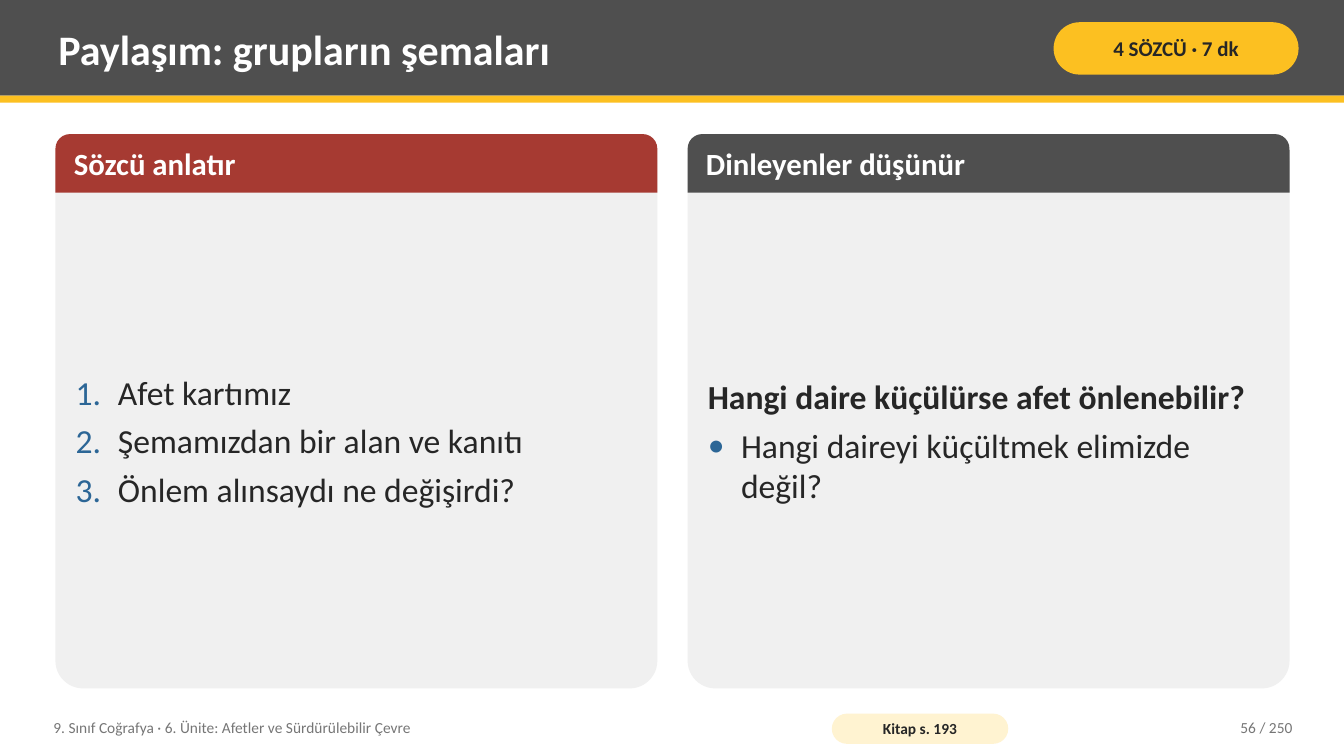
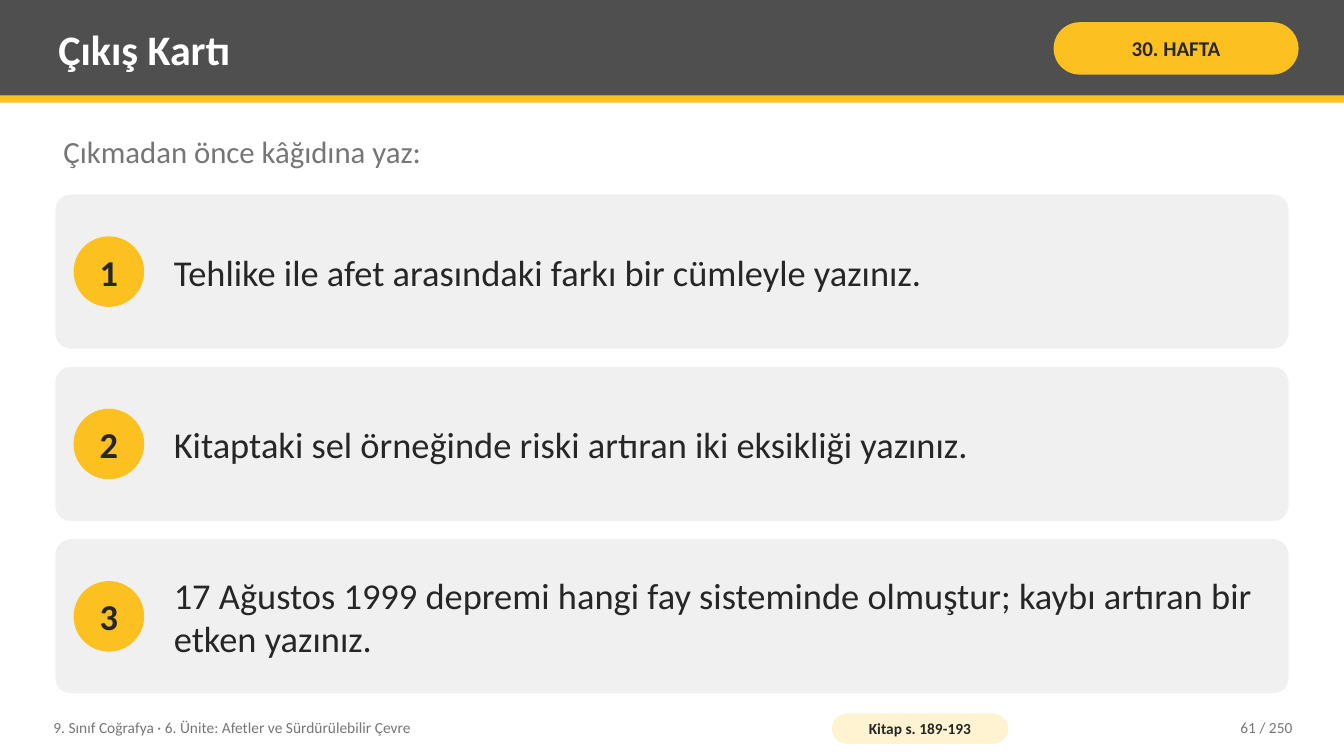
from pptx import Presentation
from pptx.dml.color import RGBColor
from pptx.enum.shapes import MSO_SHAPE
from pptx.enum.text import MSO_ANCHOR, MSO_AUTO_SIZE, PP_ALIGN
from pptx.oxml.ns import qn
from pptx.util import Inches, Pt
from lxml.etree import SubElement

FONT = "Calibri"
WHITE, INK, MUTED = "FFFFFF", "262626", "767676"
GRAPHITE, YELLOW, RED, BLUE = "4F4F4F", "FCC021", "A63A32", "2C6696"
PANEL, CREAM = "F0F0F0", "FFF3D1"

PAGE_WIDTH, MARGIN, CONTENT_WIDTH = 13.33, 0.55, 12.23
UNIT_NAME = "9. Sınıf Coğrafya · 6. Ünite: Afetler ve Sürdürülebilir Çevre"
PAGE_TOTAL = 250
INSETS = (0.08, 0.04, 0.08, 0.04)
NUMBERED = ("a:buAutoNum", {"type": "arabicPeriod"}, 0.42)
BULLETED = ("a:buChar", {"char": "•"}, 0.33)


def color(value):
    return RGBColor.from_string(value)


class Lesson:
    def __init__(self):
        self.deck = Presentation()
        self.deck.slide_width = Inches(PAGE_WIDTH)
        self.deck.slide_height = Inches(7.5)
        self.page = None

    def start_page(self, title, badge, book_pages, number):
        """Add a slide with its title band, badge and footer."""
        self.page = self.deck.slides.add_slide(self.deck.slide_layouts[5])
        self.shape(MSO_SHAPE.RECTANGLE, 0, 0, PAGE_WIDTH, 0.95, GRAPHITE)
        self.shape(MSO_SHAPE.RECTANGLE, 0, 0.95, PAGE_WIDTH, 0.07, YELLOW)
        self.title(title)
        self.pill(badge, 10.45, 0.22, 2.43, 0.52, YELLOW, 15)
        self.text(UNIT_NAME, 0.45, 7.04, 7.6, 0.36, 11, MUTED)
        self.pill(f"Kitap s. {book_pages}", 8.25, 7.08, 1.75, 0.3, CREAM, 11)
        self.text(f"{number} / {PAGE_TOTAL}", 11.3, 7.04, 1.6, 0.36, 11, MUTED,
                  align=PP_ALIGN.RIGHT)

    def set_text(self, box, lines, size, ink, bold=False, align=PP_ALIGN.LEFT,
                 anchor=MSO_ANCHOR.MIDDLE, insets=INSETS):
        """Fill a shape with paragraphs of one style and return them."""
        frame = box.text_frame
        frame.word_wrap = True
        frame.auto_size = MSO_AUTO_SIZE.NONE
        frame.vertical_anchor = anchor
        (frame.margin_left, frame.margin_top,
         frame.margin_right, frame.margin_bottom) = map(Inches, insets)
        frame.text = "\n".join(lines)
        for paragraph in frame.paragraphs:
            paragraph.alignment = align
            font = paragraph.font
            font.name, font.size, font.bold = FONT, Pt(size), bold
            font.color.rgb = color(ink)
        return frame.paragraphs

    def title(self, text):
        box = self.page.shapes.title
        box.left, box.top = Inches(0.5), Inches(0.07)
        box.width, box.height = Inches(9.75), Inches(0.82)
        self.set_text(box, [text], 30, WHITE, bold=True)
        # Bring the title in front of its band
        box.element.getparent().append(box.element)

    def text(self, text, left, top, width, height, size, ink, **style):
        box = self.page.shapes.add_textbox(
            Inches(left), Inches(top), Inches(width), Inches(height))
        self.set_text(box, [text], size, ink, **style)

    def shape(self, kind, left, top, width, height, fill, *adjustments):
        shape = self.page.shapes.add_shape(
            kind, Inches(left), Inches(top), Inches(width), Inches(height))
        shape.shadow.inherit = False
        shape.fill.solid()
        shape.fill.fore_color.rgb = color(fill)
        shape.line.fill.background()
        for index, value in enumerate(adjustments):
            shape.adjustments[index] = value
        return shape

    def pill(self, text, left, top, width, height, fill, size):
        pill = self.shape(MSO_SHAPE.ROUNDED_RECTANGLE, left, top, width, height, fill, 0.5)
        self.set_text(pill, [text], size, INK, bold=True, align=PP_ALIGN.CENTER,
                      insets=(0.04, 0, 0.04, 0))

    def list_item(self, paragraph, marker):
        tag, attributes, indent = marker
        properties = paragraph._p.get_or_add_pPr()
        properties.set("marL", str(Inches(indent)))
        properties.set("indent", str(-Inches(indent)))
        marker_color = SubElement(properties, qn("a:buClr"))
        SubElement(marker_color, qn("a:srgbClr"), val=BLUE)
        SubElement(properties, qn("a:buFont"), typeface=FONT)
        SubElement(properties, qn(tag), attributes)
        # The schema wants the default font after the marker
        properties.append(properties.find(qn("a:defRPr")))

    def column(self, index, heading, fill, items, marker, lead=None):
        """Add a headed panel with a list, under a bold lead line if given."""
        top, width, head_height, height = 1.33, 5.97, 0.58, 5.5
        left = MARGIN + index * (width + 0.3)
        self.shape(MSO_SHAPE.ROUNDED_RECTANGLE, left, top, width, height, PANEL, 0.05)
        head = self.shape(MSO_SHAPE.ROUND_2_SAME_RECTANGLE, left, top, width,
                          head_height, fill, 0.25, 0)
        self.set_text(head, [heading], 22, WHITE, bold=True, insets=(0.14, 0, 0.14, 0.04))

        body_top = top + head_height + 0.08
        body = self.page.shapes.add_textbox(
            Inches(left + 0.12), Inches(body_top),
            Inches(width - 0.24), Inches(top + height - 0.08 - body_top))
        lines = [lead, *items] if lead else items
        paragraphs = self.set_text(body, lines, 24, INK)
        for paragraph in paragraphs[:-1]:
            paragraph.space_after = Pt(6)
        if lead:
            paragraphs[0].font.bold = True
        for paragraph in paragraphs[-len(items):]:
            self.list_item(paragraph, marker)

    def question(self, number, text):
        height, gap, circle = 1.53, 0.18, 0.7
        top = 1.93 + (number - 1) * (height + gap)
        card = self.shape(MSO_SHAPE.ROUNDED_RECTANGLE, MARGIN, top,
                          CONTENT_WIDTH, height, PANEL, 0.1)
        self.set_text(card, [text], 26, INK, insets=(1.13, 0, 0.23, 0))
        disc = self.shape(MSO_SHAPE.OVAL, MARGIN + 0.18, top + (height - circle) / 2,
                          circle, circle, YELLOW)
        self.set_text(disc, [str(number)], 26, INK, bold=True,
                      align=PP_ALIGN.CENTER, insets=(0, 0, 0, 0))


def main():
    lesson = Lesson()

    lesson.start_page("Paylaşım: grupların şemaları", "4 SÖZCÜ · 7 dk", "193", 56)
    lesson.column(0, "Sözcü anlatır", RED, [
        "Afet kartımız",
        "Şemamızdan bir alan ve kanıtı",
        "Önlem alınsaydı ne değişirdi?",
    ], NUMBERED)
    lesson.column(1, "Dinleyenler düşünür", GRAPHITE,
                  ["Hangi daireyi küçültmek elimizde değil?"], BULLETED,
                  lead="Hangi daire küçülürse afet önlenebilir?")

    lesson.start_page("Çıkış Kartı", "30. HAFTA", "189-193", 61)
    lesson.text("Çıkmadan önce kâğıdına yaz:", MARGIN, 1.28, CONTENT_WIDTH, 0.55,
                22, MUTED, anchor=MSO_ANCHOR.TOP)
    questions = [
        "Tehlike ile afet arasındaki farkı bir cümleyle yazınız.",
        "Kitaptaki sel örneğinde riski artıran iki eksikliği yazınız.",
        "17 Ağustos 1999 depremi hangi fay sisteminde olmuştur; "
        "kaybı artıran bir etken yazınız.",
    ]
    for number, question in enumerate(questions, start=1):
        lesson.question(number, question)

    lesson.deck.save("out.pptx")


if __name__ == "__main__":
    main()
